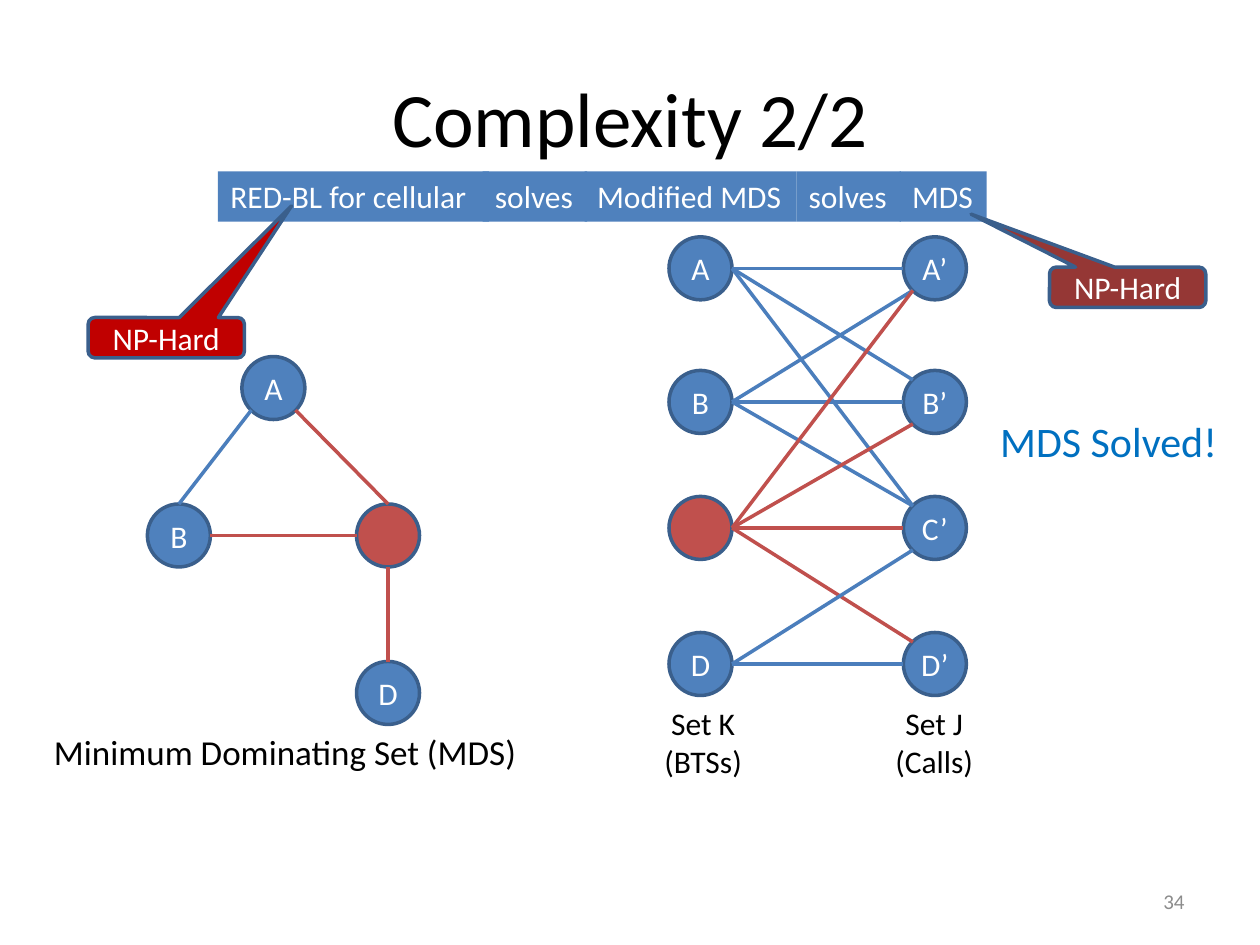
"""Build the Complexity 2/2 slide: dominating set graph and its bipartite form."""
from lxml import etree
from pptx import Presentation
from pptx import util as u
from pptx.dml.color import RGBColor
from pptx.enum import shapes, text
from pptx.oxml.ns import qn

COLORS = {"blue": "4F81BD", "edge": "4B7EBC", "red": "C0504D", "outline": "3A5F8C",
          "crimson": "C00000", "maroon": "953735", "white": "FFFFFF",
          "black": "000000", "gray": "8C8C8C", "accent": "0070C0"}
FONT = "Calibri"
NODE = 0.5
PORTS = {"top": (0.5, 0), "left": (0, 0.5), "bottom": (0.5, 1), "right": (1, 0.5),
         "top_left": (0.15, 0.15), "bottom_left": (0.15, 0.85),
         "bottom_right": (0.85, 0.85)}

GRAPH = {"A": (1.92, 2.83), "B": (1.17, 4), "C": (2.83, 4), "D": (2.83, 5.25)}
GRAPH_EDGES = [("B", "right", "C", "left", "red"), ("B", "top", "A", "bottom_left", "edge"),
               ("A", "bottom_right", "C", "top", "red"), ("C", "bottom", "D", "top", "red")]
ROWS = {"A": 1.88, "B": 2.94, "C": 3.94, "D": 5.02}
COVERS = {"A": "ABC", "B": "ABC", "C": "ABCD", "D": "CD"}
CHOSEN = "C"
K_LEFT, J_LEFT = 5.31, 7.17

BANNER = [("RED-BL for cellular", 1.73, 2.15), ("solves", 3.83, 0.83),
          ("Modified MDS", 4.64, 1.68), ("solves", 6.32, 0.83), ("MDS", 7.14, 0.69)]
CALLOUTS = [((8.33, 2.12), (-1.002, -1.814, 0.167), "maroon"),
            ((0.7, 2.52), (0.802, -3.269, 0.167), "crimson")]
LABELS = [("Minimum Dominating Set (MDS)", (0.33, 5.75, 3.91, 0.44), 20, "black", "LEFT"),
          ("Set J\n(Calls)", (7, 5.54, 0.83, 0.71), 18, "black", "CENTER"),
          ("Set K\n(BTSs)", (5.17, 5.54, 0.82, 0.71), 18, "black", "CENTER"),
          ("MDS Solved!", (7.84, 3.25, 1.94, 0.5), 24, "accent", "LEFT")]


def rgb(name):
    return RGBColor.from_string(COLORS[name])


def inches(values):
    return [u.Inches(v) for v in values]


def write(sp, words, size, color, align, anchor="MIDDLE", wrap=True):
    tf = sp.text_frame
    tf.text = words
    tf.word_wrap = wrap
    tf.vertical_anchor = getattr(text.MSO_ANCHOR, anchor)
    for p in tf.paragraphs:
        p.alignment = getattr(text.PP_ALIGN, align)
        p.font.name, p.font.size = FONT, u.Pt(size)
        p.font.color.rgb = rgb(color)


def add_shape(s, kind, box, fill, outlined=True):
    sp = s.shapes.add_shape(kind, *inches(box))
    sp.shadow.inherit = False
    sp.fill.solid()
    sp.fill.fore_color.rgb = rgb(fill)
    if outlined:
        sp.line.color.rgb, sp.line.width = rgb("outline"), u.Pt(2)
    else:
        sp.line.fill.background()
    return sp


def add_node(s, at, label, chosen=False):
    sp = add_shape(s, shapes.MSO_SHAPE.OVAL, (*at, NODE, NODE), "red" if chosen else "blue")
    if not chosen:
        tf = sp.text_frame
        tf.margin_left = tf.margin_right = u.Inches(0.05)
        write(sp, label, 18, "white", "CENTER")


def port(at, side):
    return [a + NODE * share for a, share in zip(at, PORTS[side])]


def add_edge(s, start, end, color):
    line = s.shapes.add_connector(shapes.MSO_CONNECTOR.STRAIGHT, *inches(start + end))
    line.line.color.rgb, line.line.width = rgb(color), u.Pt(2)
    etree.SubElement(line._element.spPr, qn("a:effectLst"))


def add_graph(s):
    for name, at in GRAPH.items():
        add_node(s, at, name, name == CHOSEN)
    for a, a_side, b, b_side, color in GRAPH_EDGES:
        add_edge(s, port(GRAPH[a], a_side), port(GRAPH[b], b_side), color)


def add_bipartite(s):
    for name, top in ROWS.items():
        add_node(s, (K_LEFT, top), name, name == CHOSEN)
        add_node(s, (J_LEFT, top), name + "’")
    for bts, calls in COVERS.items():
        for call in calls:
            side = "left" if call == bts else "top_left" if call > bts else "bottom_left"
            add_edge(s, port((K_LEFT, ROWS[bts]), "right"), port((J_LEFT, ROWS[call]), side),
                     "red" if bts == CHOSEN else "edge")


def main():
    prs = Presentation()
    prs.slide_width, prs.slide_height = inches((10, 7.5))
    s = prs.slides.add_slide(prs.slide_layouts[5])
    title = s.shapes.title
    title.left, title.top, title.width, title.height = inches((0.5, 0.3, 9, 1.25))
    write(title, "Complexity 2/2", 44, "black", "CENTER")
    number = s.shapes.add_textbox(*inches((7.17, 6.95, 2.33, 0.4)))
    write(number, "34", 12, "gray", "RIGHT")

    add_graph(s)
    add_bipartite(s)
    for words, box, size, color, align in LABELS:
        label = s.shapes.add_textbox(*inches(box))
        write(label, words, size, color, align, "TOP", False)
    for words, left, width in BANNER:
        sp = add_shape(s, shapes.MSO_SHAPE.RECTANGLE, (left, 1.36, width, 0.4), "blue", False)
        write(sp, words, 18, "white", "LEFT", "TOP", False)
    for at, adjustments, fill in CALLOUTS:
        sp = add_shape(s, shapes.MSO_SHAPE.ROUNDED_RECTANGULAR_CALLOUT, (*at, 1.24, 0.32), fill)
        for i, value in enumerate(adjustments):
            sp.adjustments[i] = value
        write(sp, "NP-Hard", 18, "white", "CENTER")
    prs.save("out.pptx")


if __name__ == "__main__":
    main()
